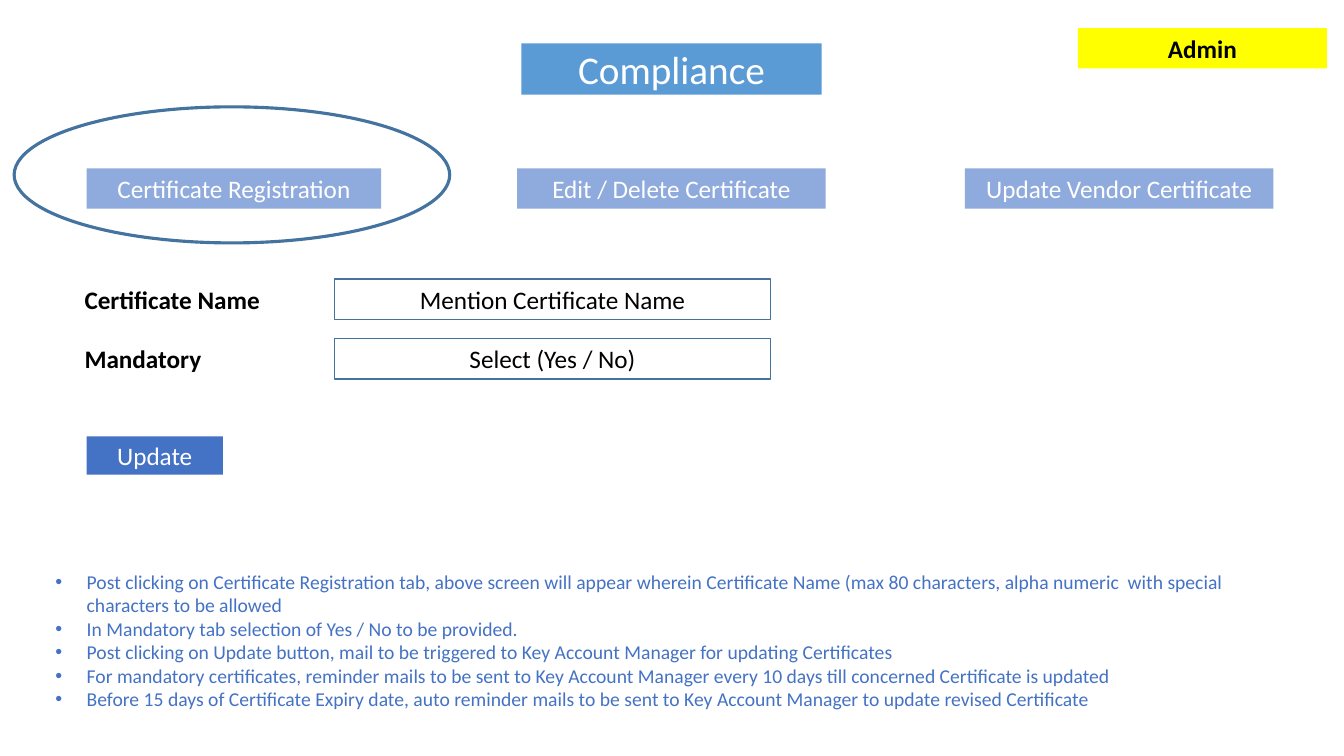
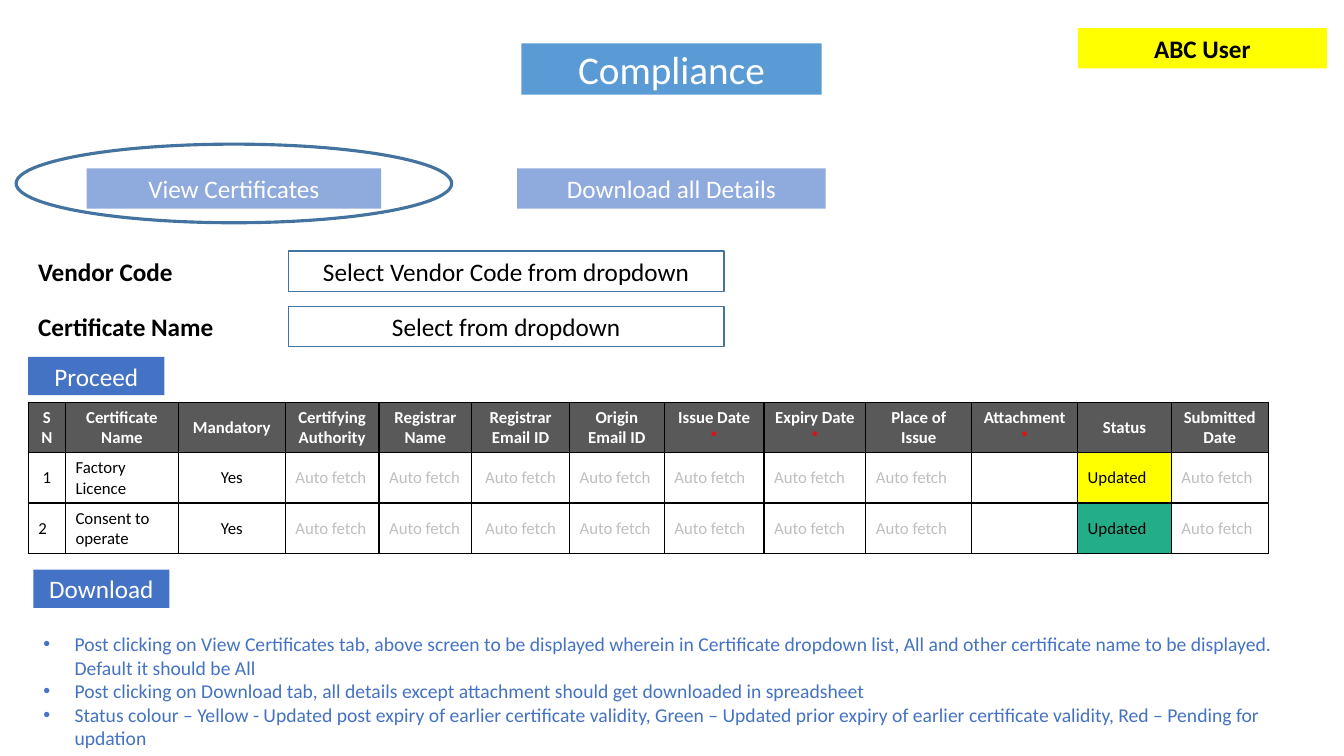
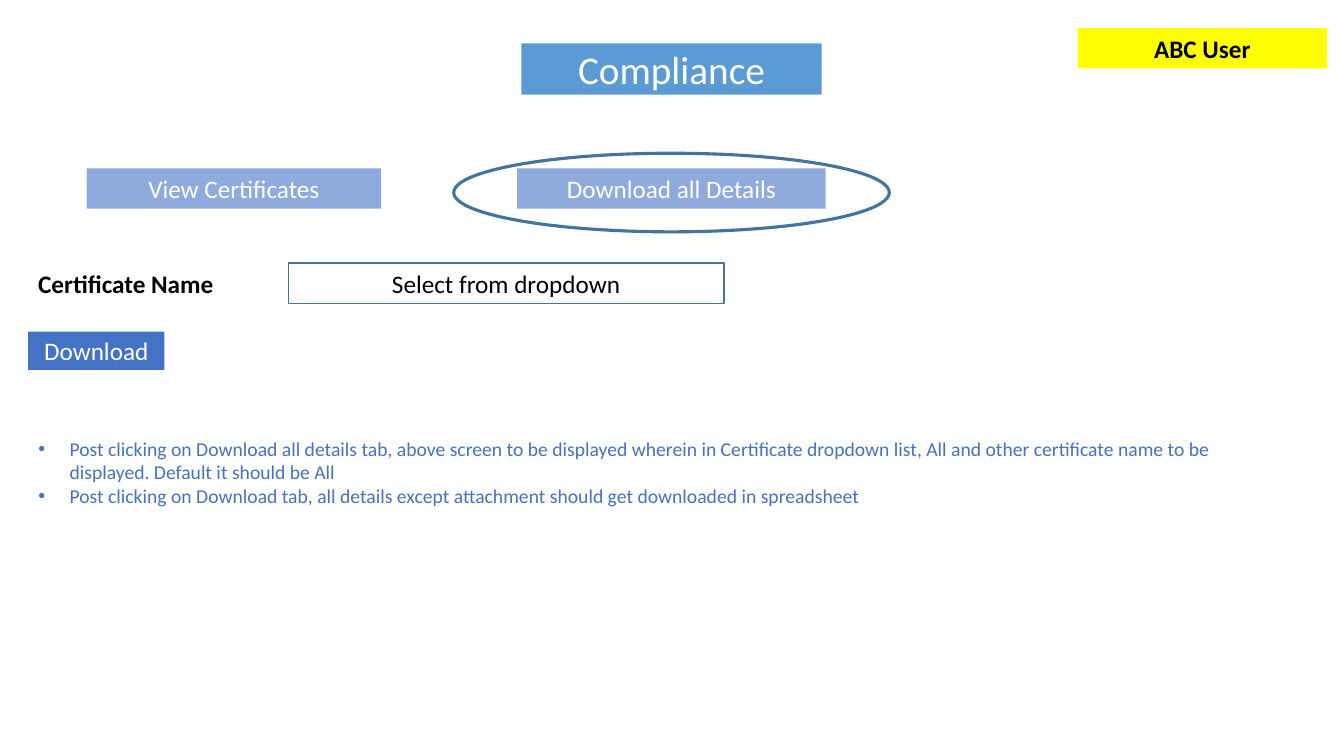
import pptx
import pptx.dml.color
import pptx.enum.shapes
import pptx.enum.text
import pptx.oxml
import pptx.oxml.ns
import pptx.util

Inches = pptx.util.Inches
Pt = pptx.util.Pt
RGBColor = pptx.dml.color.RGBColor
Shape = pptx.enum.shapes.MSO_SHAPE
Anchor = pptx.enum.text.MSO_ANCHOR
Align = pptx.enum.text.PP_ALIGN

WHITE = RGBColor(0xFF, 0xFF, 0xFF)
BLACK = RGBColor(0x00, 0x00, 0x00)
YELLOW = RGBColor(0xFF, 0xFF, 0x00)
GREEN = RGBColor(0x23, 0xAE, 0x89)
RED = RGBColor(0xFF, 0x00, 0x00)
TITLE_BLUE = RGBColor(0x5B, 0x9B, 0xD5)
TAB_BLUE = RGBColor(0x8F, 0xAA, 0xDC)
BUTTON_BLUE = RGBColor(0x44, 0x72, 0xC4)
OUTLINE = RGBColor(0x43, 0x73, 0x9E)
HEADER_GREY = RGBColor(0x59, 0x59, 0x59)
MUTED = RGBColor(0xBF, 0xBF, 0xBF)

TABS = [(0.86, 2.92), (5.13, 3.06), (9.57, 3.06)]
FIELD_OFFSET = 2.58
BULLET_INDENT = 0.31

COLUMNS = [
    ("S N", 0.37), ("Certificate Name", 1.12), ("Mandatory", 1.06),
    ("Certifying Authority", 0.93), ("Registrar Name", 0.92),
    ("Registrar Email ID", 0.97), ("Origin Email ID", 0.94),
    ("Issue Date *", 0.99), ("Expiry Date *", 1.01),
    ("Place of Issue", 1.05), ("Attachment *", 1.05),
    ("Status", 0.93), ("Submitted Date", 0.96),
]
AUTO = "Auto fetch"
CERTIFICATES = [
    ("1", "Factory Licence", YELLOW),
    ("2", "Consent to operate", GREEN),
]


class Deck:
    def __init__(self):
        self.prs = pptx.Presentation()
        self.prs.slide_width = Inches(13.33)
        self.prs.slide_height = Inches(7.5)
        self.slide = None

    def place(self, sp, left, top, width, height):
        box = {"left": left, "top": top, "width": width, "height": height}
        for name, value in box.items():
            setattr(sp, name, Inches(value))

    def add_text(self, p, text, color, size=18, bold=False,
                 align=Align.CENTER):
        """Fill a paragraph; an asterisk becomes a red run of its own."""
        p.alignment = align
        for part, part_color in zip(text.partition("*"), (color, RED, color)):
            if not part:
                continue
            r = p.add_run()
            r.text = part
            font = {"name": "Calibri", "size": Pt(size), "bold": bold}
            for name, value in font.items():
                setattr(r.font, name, value)
            r.font.color.rgb = part_color

    def new_slide(self, role, tabs):
        self.slide = self.prs.slides.add_slide(self.prs.slide_layouts[1])
        title = self.slide.shapes.title
        self.place(title, 5.17, 0.43, 2.98, 0.51)
        title.fill.solid()
        title.fill.fore_color.rgb = TITLE_BLUE
        title.text_frame.auto_size = pptx.enum.text.MSO_AUTO_SIZE.NONE
        title.text_frame.vertical_anchor = Anchor.MIDDLE
        self.add_text(title.text_frame.paragraphs[0], "Compliance", WHITE, 28)
        self.box(role, 10.69, 0.28, 2.47, 0.4, YELLOW, BLACK, bold=True)
        for text, (left, width) in zip(tabs, TABS):
            self.box(text, left, 1.67, width, 0.4, TAB_BLUE)

    def shape(self, kind, left, top, width, height, fill=None, line=1):
        """Add a filled shape, or an outlined one when there is no fill."""
        sp = self.slide.shapes.add_shape(
            kind, *map(Inches, (left, top, width, height)))
        sp.shadow.inherit = False
        if fill is None:
            sp.fill.background()
            sp.line.color.rgb = OUTLINE
            sp.line.width = Pt(line)
        else:
            sp.fill.solid()
            sp.fill.fore_color.rgb = fill
            sp.line.fill.background()
        return sp

    def box(self, text, left, top, width, height, fill=None, color=WHITE,
            bold=False):
        sp = self.shape(Shape.RECTANGLE, left, top, width, height, fill)
        tf = sp.text_frame
        tf.word_wrap = True
        tf.vertical_anchor = Anchor.MIDDLE
        self.add_text(tf.paragraphs[0], text, color, bold=bold)

    def button(self, text, left, top):
        self.box(text, left, top, 1.35, 0.38, BUTTON_BLUE)

    def highlight(self, left, top, height):
        self.shape(Shape.OVAL, left, top, 4.32, height, line=2.25)

    def field(self, label, hint, left, top):
        sp = self.slide.shapes.add_textbox(
            *map(Inches, (left, top, 2.7, 0.4)))
        sp.text_frame.word_wrap = True
        self.add_text(sp.text_frame.paragraphs[0], label, BLACK, bold=True,
                      align=Align.LEFT)
        self.box(hint, left + FIELD_OFFSET, top, 4.32, 0.4, color=BLACK)

    def bullets(self, left, top, height, items):
        body = self.slide.placeholders[1]
        self.place(body, left, top, 12.43, height)
        tf = body.text_frame
        tf.auto_size = pptx.enum.text.MSO_AUTO_SIZE.NONE
        for i, item in enumerate(items):
            p = tf.add_paragraph() if i else tf.paragraphs[0]
            p.space_before = Pt(0)
            self.add_text(p, item, BUTTON_BLUE, 14, align=Align.LEFT)
            pPr = p._p.get_or_add_pPr()
            pPr.set("marL", str(Inches(BULLET_INDENT)))
            pPr.set("indent", str(-Inches(BULLET_INDENT)))

    def cell(self, cell, text, color, fill=None, bold=False,
             align=Align.LEFT):
        tcPr = cell._tc.get_or_add_tcPr()
        for side in "LRTB":
            tcPr.append(pptx.oxml.parse_xml(
                f'<a:ln{side} {pptx.oxml.ns.nsdecls("a")} w="{Pt(1)}">'
                f'<a:solidFill><a:srgbClr val="{BLACK}"/></a:solidFill>'
                f'</a:ln{side}>'))
        if fill is None:
            cell.fill.background()
        else:
            cell.fill.solid()
            cell.fill.fore_color.rgb = fill
        cell.vertical_anchor = Anchor.MIDDLE
        self.add_text(cell.text_frame.paragraphs[0], text, color, 12, bold,
                      align)

    def certificate_table(self, left, top):
        rows = len(CERTIFICATES) + 1
        width = sum(w for _, w in COLUMNS)
        table = self.slide.shapes.add_table(
            rows, len(COLUMNS),
            *map(Inches, (left, top, width, 0.5 * rows))).table
        for c, (heading, w) in enumerate(COLUMNS):
            table.columns[c].width = Inches(w)
            self.cell(table.cell(0, c), heading, WHITE, HEADER_GREY, True,
                      Align.CENTER)
        for r, (number, name, status) in enumerate(CERTIFICATES, 1):
            values = [number, name, "Yes"] + [AUTO] * 7 + ["", "Updated", AUTO]
            for c, text in enumerate(values):
                centred = c in (2, 5) or (r, c) == (1, 0)
                self.cell(table.cell(r, c), text,
                          MUTED if text == AUTO else BLACK,
                          status if text == "Updated" else None,
                          align=Align.CENTER if centred else Align.LEFT)


def registration_slide(deck):
    deck.new_slide("Admin", ["Certificate Registration",
                             "Edit / Delete Certificate",
                             "Update Vendor Certificate"])
    deck.highlight(0.14, 1.06, 1.35)
    deck.field("Certificate Name", "Mention Certificate Name", 0.74, 2.77)
    deck.field("Mandatory", "Select (Yes / No)", 0.74, 3.36)
    deck.button("Update", 0.86, 4.33)
    deck.bullets(0.45, 5.6, 1.51, [
        "Post clicking on Certificate Registration tab, above screen will "
        "appear wherein Certificate Name (max 80 characters, alpha numeric  "
        "with special characters to be allowed",
        "In Mandatory tab selection of Yes / No to be provided.",
        "Post clicking on Update button, mail to be triggered to Key Account "
        "Manager for updating Certificates",
        "For mandatory certificates, reminder mails to be sent to Key Account "
        "Manager every 10 days till concerned Certificate is updated",
        "Before 15 days of Certificate Expiry date, auto reminder mails to be "
        "sent to Key Account Manager to update revised Certificate",
    ])


USER = "ABC User"
USER_TABS = ["View Certificates", "Download all Details"]
DOWNLOAD_NOTE = ("Post clicking on Download tab, all details except "
                 "attachment should get downloaded in spreadsheet")


def dropdown_note(tab):
    return (f"Post clicking on {tab} tab, above screen to be displayed "
            "wherein in Certificate dropdown list, All and other "
            "certificate name to be displayed. Default it should be All")


def view_slide(deck):
    deck.new_slide(USER, USER_TABS)
    deck.highlight(0.16, 1.43, 0.78)
    deck.field("Vendor Code", "Select Vendor Code from dropdown", 0.28, 2.49)
    deck.field("Certificate Name", "Select from dropdown", 0.28, 3.04)
    deck.button("Proceed", 0.28, 3.54)
    deck.certificate_table(0.28, 3.99)
    deck.button("Download", 0.33, 5.65)
    deck.bullets(0.33, 6.22, 1.28, [
        dropdown_note("View Certificates"),
        DOWNLOAD_NOTE,
        "Status colour – Yellow - Updated post expiry of earlier certificate "
        "validity, Green – Updated prior expiry of earlier certificate "
        "validity, Red – Pending for updation",
    ])


def download_slide(deck):
    deck.new_slide(USER, USER_TABS)
    deck.highlight(4.5, 1.52, 0.78)
    deck.field("Certificate Name", "Select from dropdown", 0.28, 2.61)
    deck.button("Download", 0.28, 3.29)
    deck.bullets(0.28, 4.28, 0.81, [
        dropdown_note("Download all details"),
        DOWNLOAD_NOTE,
    ])


def main():
    deck = Deck()
    registration_slide(deck)
    view_slide(deck)
    download_slide(deck)
    deck.prs.save("out.pptx")


if __name__ == "__main__":
    main()
